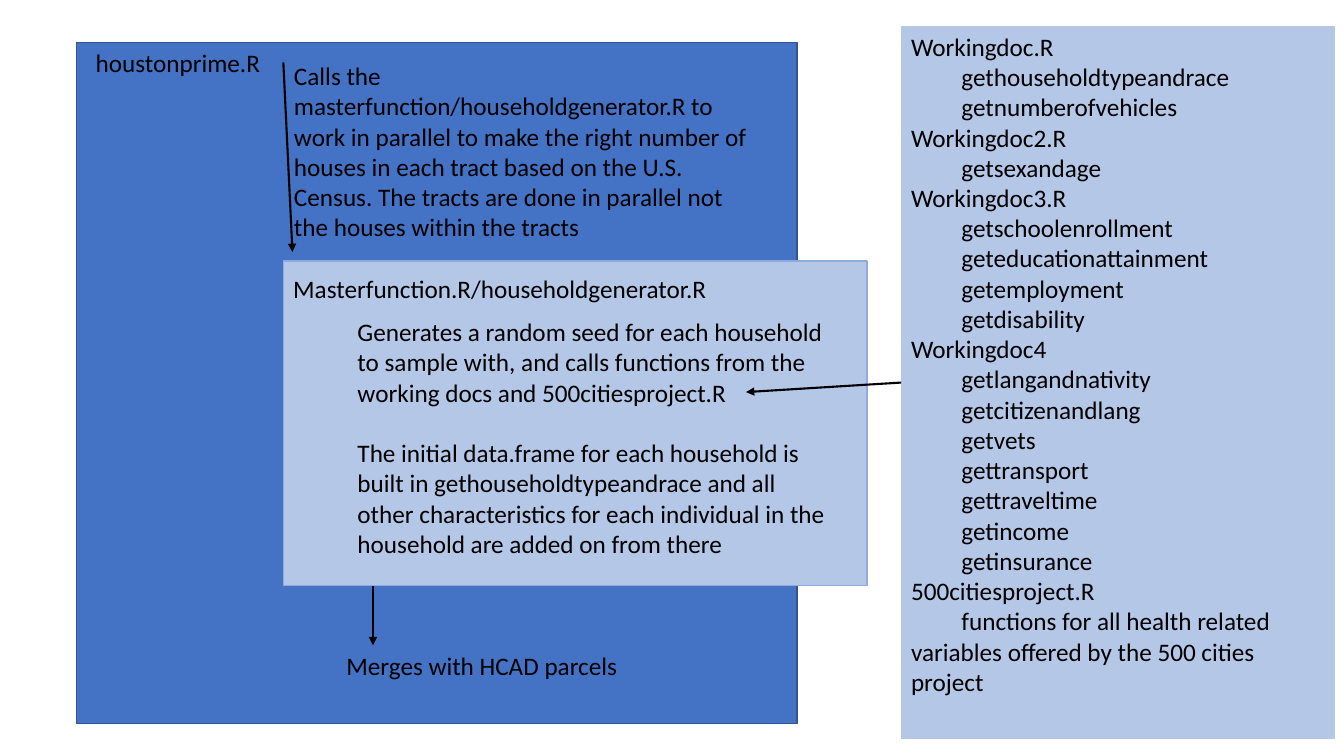
import dataclasses
import typing

import lxml.etree
import pptx
import pptx.dml.color
import pptx.enum.shapes
import pptx.enum.text
import pptx.oxml.ns
import pptx.util

Cm = pptx.util.Cm
Pt = pptx.util.Pt
HUES = {"blue": "4472C4", "edge": "325491", "pale": "B4C7E7", "rim": "8FAADC", "ink": "000000"}


@dataclasses.dataclass
class Box:
    left: float
    top: float
    width: float
    height: float
    fill: str
    line: str
    weight: float = 1


@dataclasses.dataclass
class Note:
    left: float
    top: float
    width: float
    height: float
    lines: list[str]
    gap: float = 0


@dataclasses.dataclass
class Arrow:
    start: tuple[float, float]
    end: tuple[float, float]


PRIME = Box(1.93, 1.07, 18.16, 17.17, "blue", "edge")
MASTER = Box(7.14, 6.58, 14.71, 8.18, "pale", "rim")
PANEL = Box(22.71, 0.66, 10.92, 17.96, "pale", "pale", 0.75)

PRIME_NAME = Note(2.16, 1.07, 4.95, 1.02, ["houstonprime.R"])
MASTER_NAME = Note(7.14, 6.76, 11.38, 1.02, ["Masterfunction.R/householdgenerator.R"])
CALLS = Note(7.16, 1.4, 12.12, 4.88, [
    "Calls the masterfunction/householdgenerator.R to work in parallel to make the right "
    "number of houses in each tract based on the U.S. Census. The tracts are done in "
    "parallel not the houses within the tracts"])
SEED = Note(8.76, 7.85, 12.57, 7.95, [
    "Generates a random seed for each household to sample with, and calls functions from "
    "the working docs and 500citiesproject.R",
    "The initial data.frame for each household is built in gethouseholdtypeandrace and all "
    "other characteristics for each individual in the household are added on from there"], 21.6)
MERGE = Note(8.48, 16.26, 12.22, 1.02, ["Merges with HCAD parcels"])

DOCS = {
    "Workingdoc.R": ["gethouseholdtypeandrace", "getnumberofvehicles"],
    "Workingdoc2.R": ["getsexandage"],
    "Workingdoc3.R": ["getschoolenrollment", "geteducationattainment", "getemployment",
                      "getdisability"],
    "Workingdoc4": ["getlangandnativity", "getcitizenandlang", "getvets", "gettransport",
                    "gettraveltime", "getincome", "getinsurance"],
    "500citiesproject.R": ["functions for all health related variables offered by the "
                           "500 cities project"],
}


def color(name: str) -> pptx.dml.color.RGBColor:
    return pptx.dml.color.RGBColor.from_string(HUES[name])


def write(shape: typing.Any, lines: list[str], *, size: float = 18, font: str = "Calibri",
          hue: str = "ink", gap: float = 0) -> None:
    frame = shape.text_frame
    frame.word_wrap = True
    frame.vertical_anchor = pptx.enum.text.MSO_ANCHOR.TOP
    for index, line in enumerate(lines):
        para = frame.add_paragraph() if index else frame.paragraphs[0]
        para.alignment = pptx.enum.text.PP_ALIGN.LEFT
        if index and gap:
            para.space_before = Pt(gap)
        run = para.add_run()
        run.text = line
        run.font.size = Pt(size)
        run.font.name = font
        run.font.color.rgb = color(hue)


def draw_box(slide: typing.Any, box: Box) -> typing.Any:
    shape = slide.shapes.add_shape(
        pptx.enum.shapes.MSO_SHAPE.RECTANGLE,
        Cm(box.left), Cm(box.top), Cm(box.width), Cm(box.height))
    shape.shadow.inherit = False
    shape.fill.solid()
    shape.fill.fore_color.rgb = color(box.fill)
    shape.line.color.rgb = color(box.line)
    shape.line.width = Pt(box.weight)
    return shape


def draw_note(slide: typing.Any, note: Note) -> None:
    shape = slide.shapes.add_textbox(
        Cm(note.left), Cm(note.top), Cm(note.width), Cm(note.height))
    write(shape, note.lines, gap=note.gap)


def draw_arrow(slide: typing.Any, arrow: Arrow) -> typing.Any:
    link = slide.shapes.add_connector(
        pptx.enum.shapes.MSO_CONNECTOR.STRAIGHT,
        *(Cm(value) for value in arrow.start + arrow.end))
    link.line.color.rgb = color("ink")
    link.line.width = Pt(1.5)
    qn = pptx.oxml.ns.qn
    lxml.etree.SubElement(link.line._get_or_add_ln(), qn("a:tailEnd"), type="triangle")
    lxml.etree.SubElement(link._element.spPr, qn("a:effectLst"))
    return link


def main() -> None:
    deck = pptx.Presentation()
    deck.slide_width = Cm(33.87)
    deck.slide_height = Cm(19.05)
    slide = deck.slides.add_slide(deck.slide_layouts[6])

    draw_box(slide, PRIME)
    draw_note(slide, PRIME_NAME)
    draw_box(slide, MASTER)
    draw_note(slide, MASTER_NAME)
    draw_arrow(slide, Arrow((7.14, 1.57), (7.37, 6.35)))
    draw_note(slide, CALLS)
    draw_note(slide, SEED)

    panel = draw_box(slide, PANEL)
    write(panel, [line for doc, calls in DOCS.items()
                  for line in (doc, *(f"\t{call}" for call in calls))])
    link = draw_arrow(slide, Arrow((22.71, 9.64), (18.8, 9.88)))
    link.begin_connect(panel, 1)

    draw_arrow(slide, Arrow((9.4, 14.76), (9.4, 16.26)))
    draw_note(slide, MERGE)
    deck.save("out.pptx")


if __name__ == "__main__":
    main()
